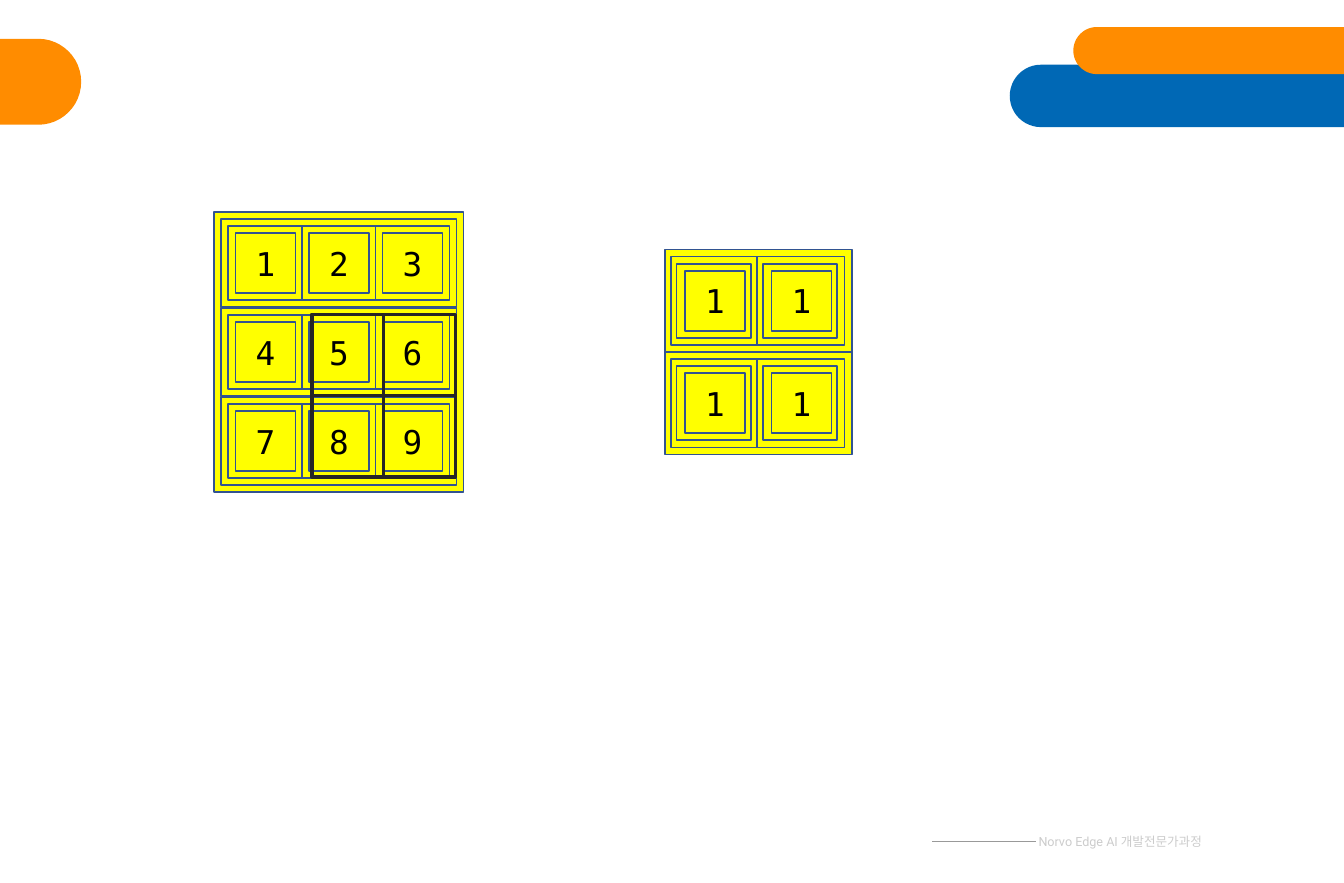
from dataclasses import dataclass
from typing import NamedTuple, Optional

from lxml.etree import SubElement
from pptx import Presentation
from pptx.dml.color import RGBColor
from pptx.enum.shapes import MSO_CONNECTOR, MSO_SHAPE as Kind
from pptx.enum.text import MSO_ANCHOR as Anchor, PP_ALIGN as Align
from pptx.oxml.ns import qn
from pptx.shapes.autoshape import Shape
from pptx.shapes.shapetree import SlideShapes as Shapes
from pptx.text.text import TextFrame
from pptx.util import Inches, Pt


@dataclass(frozen=True)
class Theme:
    orange: str = "FF8C00"
    blue: str = "0068B5"
    yellow: str = "FFFF00"
    edge: str = "325491"
    dark: str = "262626"
    rule: str = "999999"
    pale: str = "CCCCCC"
    ink: str = "000000"
    mono: str = "DejaVu Sans Mono"
    sans: str = "Roboto"
    digit: float = 20
    small: float = 7.7
    thin: float = 1
    thick: float = 2.25
    hair: float = 0.5


THEME = Theme()


class Box(NamedTuple):
    x: float
    y: float
    w: float
    h: float

    def shift(self, dx: float, dy: float) -> "Box":
        return Box(self.x + dx, self.y + dy, self.w, self.h)


class Pill(NamedTuple):
    box: Box
    color: str


@dataclass(frozen=True)
class Board:
    """A matrix; band is its first row and cell nests its first entry."""
    rows: tuple[str, ...]
    band: Box
    cell: tuple[Box, ...]
    dx: float
    dy: float
    frame: Optional[Box] = None


PILLS = (
    Pill(Box(-0.45, 0.33, 1.14, 0.73), THEME.orange),
    Pill(Box(8.58, 0.55, 3.25, 0.53), THEME.blue),
    Pill(Box(9.12, 0.23, 3.15, 0.4), THEME.orange),
)
BOARDS = (
    Board(("123", "456", "789"), Box(1.88, 1.86, 2, 0.75),
          (Box(1.94, 1.92, 0.63, 0.63), Box(2, 1.98, 0.51, 0.51)),
          0.625, 0.755, Box(1.82, 1.8, 2.12, 2.38)),
    Board(("11", "11"), Box(5.65, 2.12, 1.59, 0.87),
          (Box(5.7, 2.18, 0.74, 0.75), Box(5.75, 2.24, 0.63, 0.63),
           Box(5.82, 2.3, 0.51, 0.51)),
          0.735, 0.87),
)
WINDOW = Box(2.65, 2.67, 0.61, 0.69)


def rgb(color: str) -> RGBColor:
    return RGBColor.from_string(color)


def draw(shapes: Shapes, box: Box, fill: str = "", line: str = "",
         width: float = THEME.thin, kind: Kind = Kind.RECTANGLE) -> Shape:
    shape = shapes.add_shape(kind, *map(Inches, box))
    shape.shadow.inherit = False
    if fill:
        shape.fill.solid()
        shape.fill.fore_color.rgb = rgb(fill)
    else:
        shape.fill.background()
    if line:
        shape.line.color.rgb = rgb(line)
        shape.line.width = Pt(width)
    else:
        shape.line.fill.background()
    return shape


def write(frame: TextFrame, text: str, face: str, size: float,
          color: str, align: Align) -> None:
    frame.text = text
    para = frame.paragraphs[0]
    para.alignment = align
    font = para.runs[0].font
    font.name, font.size = face, Pt(size)
    font.color.rgb = rgb(color)


def label(shape: Shape, text: str) -> None:
    frame = shape.text_frame
    frame.margin_left = frame.margin_right = 0
    frame.margin_top = frame.margin_bottom = 0
    frame.vertical_anchor = Anchor.MIDDLE
    write(frame, text, THEME.mono, THEME.digit, THEME.ink, Align.CENTER)


def add_board(shapes: Shapes, board: Board) -> None:
    def tile(box: Box) -> Shape:
        return draw(shapes, box, THEME.yellow, THEME.edge)

    if board.frame:
        tile(board.frame)
    for r, row in enumerate(board.rows):
        tile(board.band.shift(0, r * board.dy))
        for c, digit in enumerate(row):
            nest = [tile(box.shift(c * board.dx, r * board.dy))
                    for box in board.cell]
            label(nest[-1], digit)


def add_window(shapes: Shapes) -> None:
    """Outline the two-by-two patch of the large matrix."""
    group = shapes.add_group_shape()
    for r in range(2):
        for c in range(2):
            draw(group.shapes, WINDOW.shift(c * WINDOW.w, r * WINDOW.h),
                 line=THEME.dark, width=THEME.thick)


def add_footer(shapes: Shapes) -> None:
    note = shapes.add_textbox(*map(Inches, (7.81, 7.03, 2.5, 0.23)))
    note.text_frame.word_wrap = True
    write(note.text_frame, "Norvo Edge AI 개발전문가과정", THEME.sans,
          THEME.small, THEME.pale, Align.RIGHT)
    rule = shapes.add_connector(MSO_CONNECTOR.STRAIGHT,
                                *map(Inches, (7.92, 7.15, 8.8, 7.15)))
    rule.line.color.rgb = rgb(THEME.rule)
    rule.line.width = Pt(THEME.hair)
    SubElement(rule._element.spPr, qn("a:effectLst"))


def main() -> None:
    deck = Presentation()
    deck.slide_width, deck.slide_height = Inches(11.42), Inches(7.5)
    shapes = deck.slides.add_slide(deck.slide_layouts[6]).shapes
    for pill in PILLS:
        shape = draw(shapes, pill.box, pill.color, kind=Kind.ROUNDED_RECTANGLE)
        shape.adjustments[0] = 0.5
    add_footer(shapes)
    for board in BOARDS:
        add_board(shapes, board)
    add_window(shapes)
    deck.save("out.pptx")


if __name__ == "__main__":
    main()
